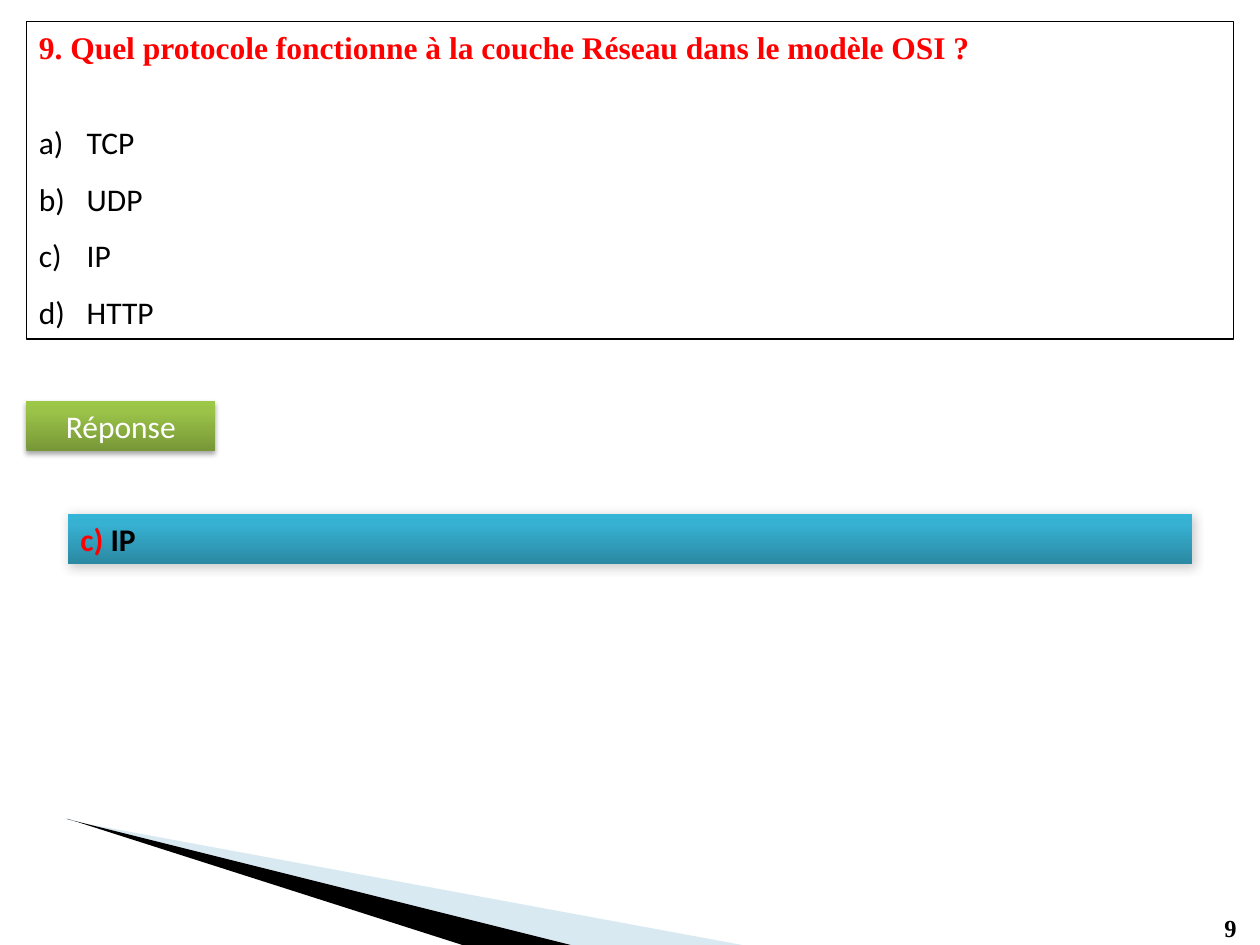
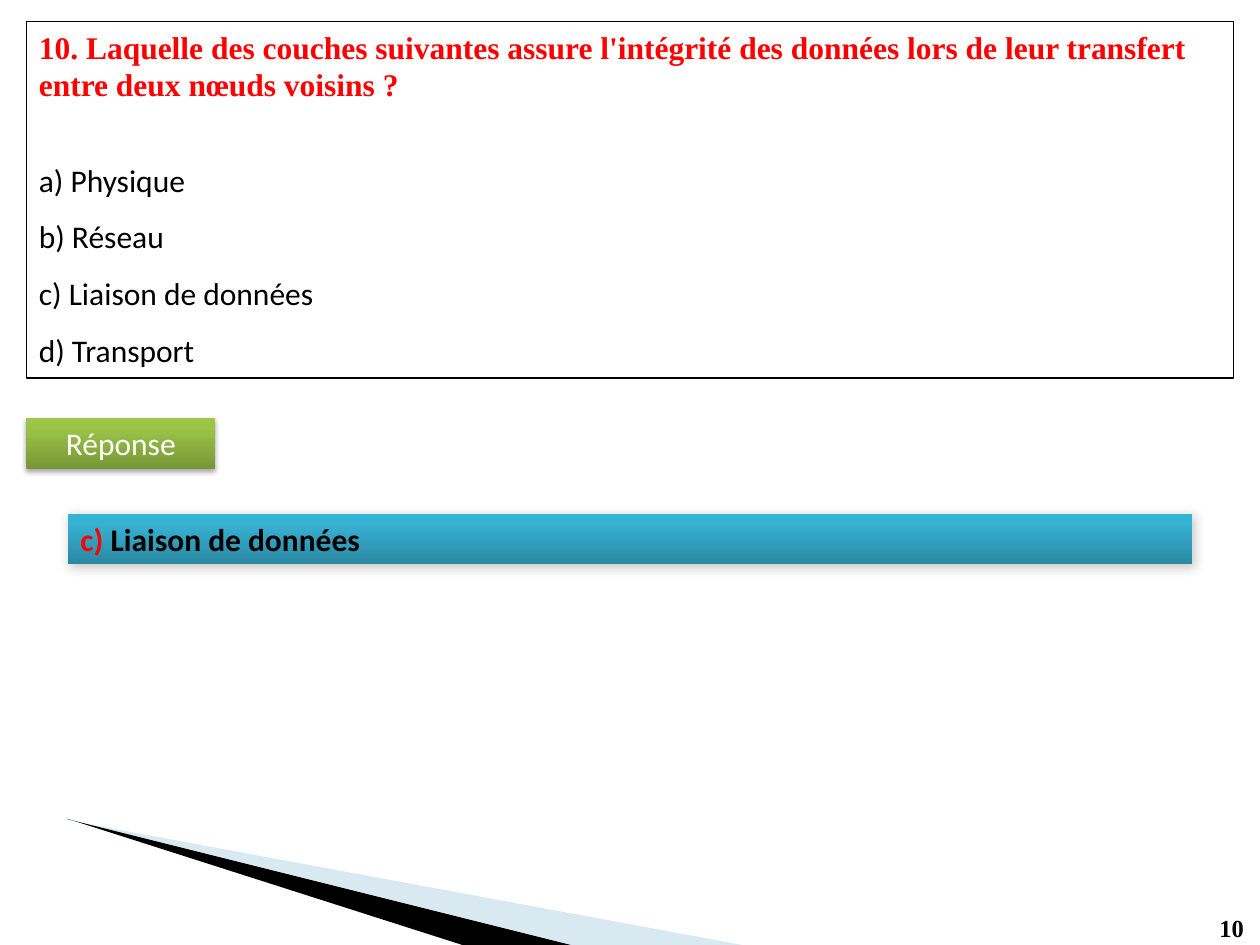
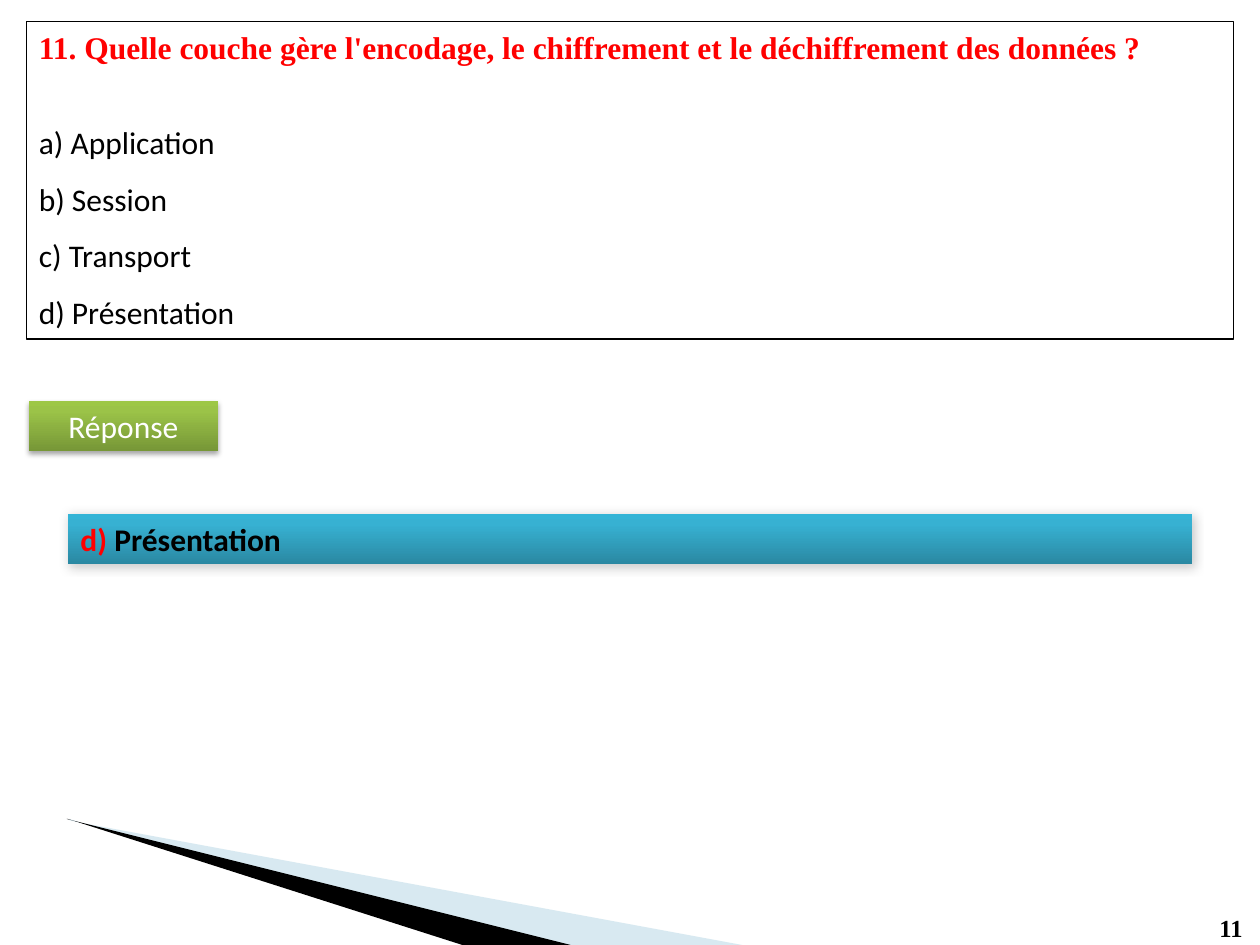
import pptx
import pptx.dml.color
import pptx.enum.shapes
import pptx.enum.text
import pptx.oxml.ns
import pptx.util
import lxml.etree

Inches = pptx.util.Inches
Pt = pptx.util.Pt
RGBColor = pptx.dml.color.RGBColor
Align = pptx.enum.text.PP_ALIGN
qn = pptx.oxml.ns.qn

BLACK = RGBColor(0x00, 0x00, 0x00)
WHITE = RGBColor(0xFF, 0xFF, 0xFF)
RED = RGBColor(0xFF, 0x00, 0x00)
PALE_BLUE = RGBColor(0x9F, 0xCA, 0xDC)
GREEN_STOPS = [
    (0, RGBColor(0x77, 0x97, 0x37)),
    (80, RGBColor(0x9B, 0xC3, 0x48)),
    (100, RGBColor(0x9D, 0xC7, 0x46)),
]
BLUE_STOPS = [
    (0, RGBColor(0x2A, 0x88, 0xA2)),
    (80, RGBColor(0x37, 0xB1, 0xD2)),
    (100, RGBColor(0x34, 0xB4, 0xD6)),
]
LABEL_SHADOW = {"alpha": 35, "blur": 3.1, "distance": 1.8, "direction": 90}
ANSWER_SHADOW = {"alpha": 20, "blur": 6, "distance": 1, "direction": 45}

QUESTION_FONT = {"name": "Times New Roman", "size": Pt(18), "bold": True}
OPTION_FONT = {"name": "Calibri", "size": Pt(18), "bold": False}
ANSWER_FONT = {"name": "Calibri", "size": Pt(18), "bold": True}
NUMBER_FONT = {"name": "Times New Roman", "size": Pt(14), "bold": True}

QUESTIONS = [
    {
        "number": 9,
        "question": "Quel protocole fonctionne à la couche Réseau dans le modèle OSI ?",
        "options": ["TCP", "UDP", "IP", "HTTP"],
        "auto_letters": True,
        "answer": 2,
        "box_height": 2.52,
        "label_at": (0.21, 3.18),
    },
    {
        "number": 10,
        "question": "Laquelle des couches suivantes assure l'intégrité des données "
                    "lors de leur transfert entre deux nœuds voisins ?",
        "options": ["Physique", "Réseau", "Liaison de données", "Transport"],
        "auto_letters": False,
        "answer": 2,
        "box_height": 2.83,
        "label_at": (0.21, 3.32),
    },
    {
        "number": 11,
        "question": "Quelle couche gère l'encodage, le chiffrement et le déchiffrement des données ?",
        "options": ["Application", "Session", "Transport", "Présentation"],
        "auto_letters": False,
        "answer": 3,
        "box_height": 2.52,
        "label_at": (0.23, 3.18),
    },
]
LETTERS = "abcd"

PALE_WEDGE = [
    [(0.64, 6.53), (4.51, 7.5), (5.89, 7.5)],
    [(0.55, 6.5), (0.55, 6.51), (0.64, 6.53)],
]
BLACK_WEDGE = [[(0.53, 6.5), (0.54, 6.5), (3.67, 7.5), (4.53, 7.5)]]


def set_values(target, values):
    for name, value in values.items():
        setattr(target, name, value)


def add_element(parent, tag, **attributes):
    element = lxml.etree.SubElement(parent, qn(tag))
    for name, value in attributes.items():
        element.set(name, str(value))
    return element


def add_run(paragraph, text, font, color):
    run = paragraph.add_run()
    run.text = text
    set_values(run.font, font)
    run.font.color.rgb = color


def add_wedge(slide, contours, color, opacity=100):
    points = [[(Inches(x), Inches(y)) for x, y in contour] for contour in contours]
    builder = slide.shapes.build_freeform(*points[0][0])
    for index, contour in enumerate(points):
        if index:
            builder.move_to(*contour[0])
        builder.add_line_segments(contour[1:], close=True)
    wedge = builder.convert_to_shape()
    wedge.shadow.inherit = False
    wedge.line.fill.background()
    wedge.fill.solid()
    wedge.fill.fore_color.rgb = color
    if opacity < 100:
        fill_color = wedge._element.spPr.find(qn("a:solidFill"))[0]
        add_element(fill_color, "a:alpha", val=opacity * 1000)


def add_box(slide, left, top, width, height):
    box = slide.shapes.add_shape(
        pptx.enum.shapes.MSO_SHAPE.RECTANGLE,
        Inches(left), Inches(top), Inches(width), Inches(height))
    box.shadow.inherit = False
    set_values(box.text_frame, {
        "word_wrap": True,
        "vertical_anchor": pptx.enum.text.MSO_ANCHOR.TOP,
    })
    box.text_frame.paragraphs[0].alignment = Align.LEFT
    return box


def add_glossy_box(slide, place, stops, shadow):
    box = add_box(slide, *place)
    box.line.fill.background()
    box.fill.gradient()
    box.fill.gradient_angle = 90
    properties = box._element.spPr
    stop_list = properties.find(qn("a:gradFill")).find(qn("a:gsLst"))
    for old_stop in list(stop_list):
        stop_list.remove(old_stop)
    for position, color in stops:
        stop = add_element(stop_list, "a:gs", pos=position * 1000)
        add_element(stop, "a:srgbClr", val=color)
    outer = add_element(
        properties.find(qn("a:effectLst")), "a:outerShdw",
        blurRad=Pt(shadow["blur"]), dist=Pt(shadow["distance"]),
        dir=shadow["direction"] * 60000, rotWithShape=0)
    shadow_color = add_element(outer, "a:srgbClr", val=BLACK)
    add_element(shadow_color, "a:alpha", val=shadow["alpha"] * 1000)
    return box


def add_question(slide, item):
    box = add_box(slide, 0.21, 0.17, 9.58, item["box_height"])
    box.fill.background()
    box.line.color.rgb = BLACK
    box.line.width = Pt(0.75)
    title = box.text_frame.paragraphs[0]
    title.space_after = Pt(22)
    add_run(title, f"{item['number']}. {item['question']}", QUESTION_FONT, RED)
    for letter, option in zip(LETTERS, item["options"]):
        paragraph = box.text_frame.add_paragraph()
        set_values(paragraph, {"line_spacing": 1.5, "alignment": Align.LEFT})
        if item["auto_letters"]:
            properties = paragraph._p.get_or_add_pPr()
            properties.set("marL", str(Inches(0.38)))
            properties.set("indent", str(-Inches(0.38)))
            add_element(properties, "a:buFont", typeface="+mj-lt")
            add_element(properties, "a:buAutoNum", type="alphaLcParenR")
            text = option
        else:
            text = f"{letter}) {option}"
        add_run(paragraph, text, OPTION_FONT, BLACK)


def add_answer(slide, item):
    label = add_glossy_box(slide, (*item["label_at"], 1.5, 0.4), GREEN_STOPS, LABEL_SHADOW)
    label_text = label.text_frame.paragraphs[0]
    label_text.alignment = Align.CENTER
    add_run(label_text, "Réponse", OPTION_FONT, WHITE)

    answer = add_glossy_box(slide, (0.54, 4.08, 8.92, 0.4), BLUE_STOPS, ANSWER_SHADOW)
    answer_text = answer.text_frame.paragraphs[0]
    answer_text.alignment = Align.JUSTIFY
    add_run(answer_text, f"{LETTERS[item['answer']]}) ", ANSWER_FONT, RED)
    add_run(answer_text, item["options"][item["answer"]], ANSWER_FONT, BLACK)


def add_page_number(slide, number):
    width = 0.36 if number < 10 else 0.4
    box = slide.shapes.add_textbox(
        Inches(9.98 - width), Inches(7.2), Inches(width), Inches(0.34))
    box.text_frame.word_wrap = False
    add_run(box.text_frame.paragraphs[0], str(number), NUMBER_FONT, BLACK)


def main():
    presentation = pptx.Presentation()
    set_values(presentation, {"slide_width": Inches(10), "slide_height": Inches(7.5)})
    for item in QUESTIONS:
        slide = presentation.slides.add_slide(presentation.slide_layouts[6])
        add_wedge(slide, PALE_WEDGE, PALE_BLUE, 40)
        add_wedge(slide, BLACK_WEDGE, BLACK)
        add_page_number(slide, item["number"])
        add_question(slide, item)
        add_answer(slide, item)
    presentation.save("out.pptx")


if __name__ == "__main__":
    main()
